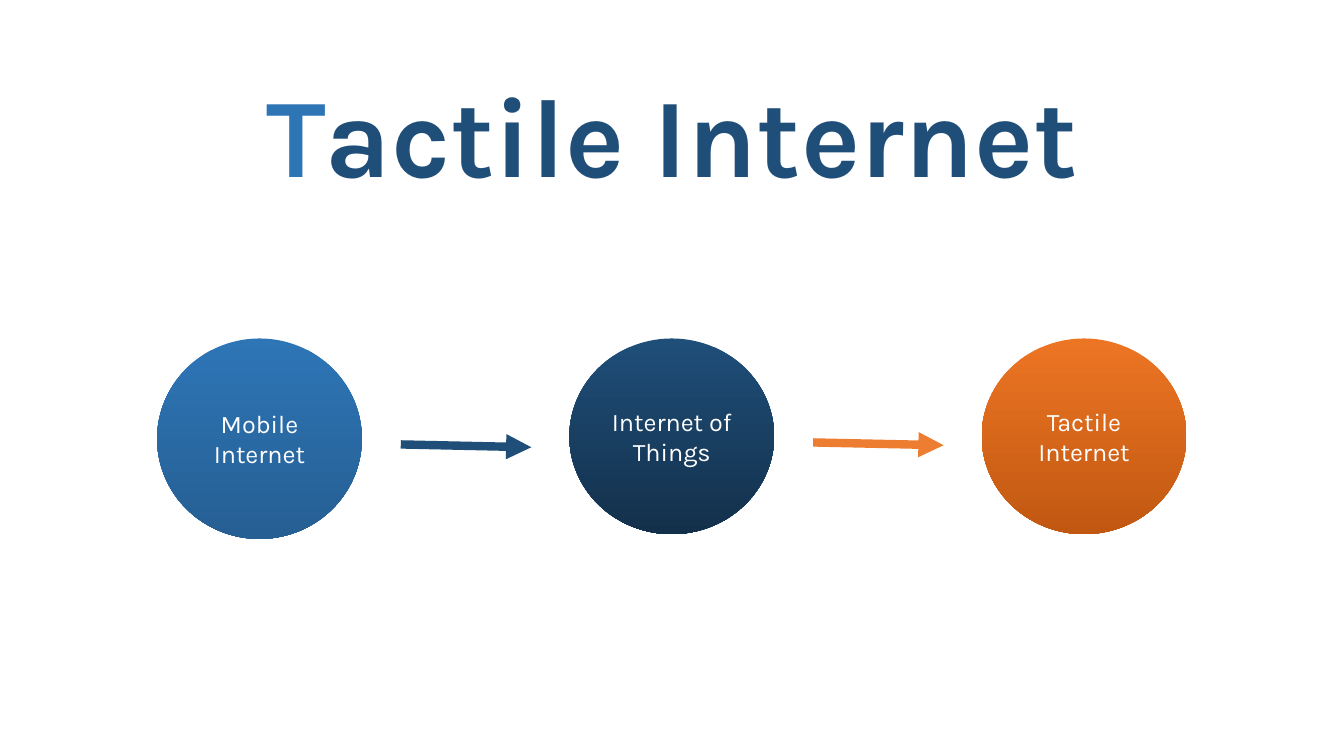
from lxml import etree
from pptx import Presentation
from pptx.dml.color import RGBColor
from pptx.enum.shapes import MSO_CONNECTOR, MSO_SHAPE
from pptx.enum.text import MSO_ANCHOR, MSO_AUTO_SIZE, PP_ALIGN
from pptx.oxml.ns import qn
from pptx.util import Cm, Pt

COLORS = {
    "white": "FFFFFF",
    "blue": "2E75B6",
    "blue_deep": "255F93",
    "navy": "1F4E79",
    "navy_deep": "13304B",
    "orange": "EC7524",
    "orange_deep": "C15811",
    "orange_arrow": "ED7D31",
}
STAGES = [
    ("Mobile Internet", "blue", 5.05),
    ("Internet of Things", "navy", 4.93),
    ("Tactile Internet", "orange", 4.93),
]
ARROWS = [("navy", 2.67), ("orange_arrow", 2.62)]


def color(name):
    return RGBColor.from_string(COLORS[name])


def add_text(para, text, *, size, tint, bold=False, font="Karla"):
    para.alignment = PP_ALIGN.CENTER
    span = para.add_run()
    span.text = text
    span.font.name = font
    span.font.size = Pt(size)
    span.font.bold = bold
    span.font.color.rgb = color(tint)


def add_title(page, left, top, width, height):
    box = page.shapes.add_textbox(Cm(left), Cm(top), Cm(width), Cm(height))
    frame = box.text_frame
    frame.word_wrap = True
    frame.auto_size = MSO_AUTO_SIZE.SHAPE_TO_FIT_TEXT
    para = frame.paragraphs[0]
    add_text(para, "T", size=80, tint="blue", bold=True)
    add_text(para, "actile Internet", size=80, tint="navy", bold=True)


def add_stage(page, left, top, width, height, label, tint):
    circle = page.shapes.add_shape(
        MSO_SHAPE.OVAL, Cm(left), Cm(top), Cm(width), Cm(height))
    circle.shadow.inherit = False
    circle.line.fill.background()
    circle.fill.gradient()
    circle.fill.gradient_angle = 270
    for stop, position, name in zip(
            circle.fill.gradient_stops, (0, 1), (tint, f"{tint}_deep")):
        stop.position = position
        stop.color.rgb = color(name)
    frame = circle.text_frame
    frame.word_wrap = True
    frame.vertical_anchor = MSO_ANCHOR.MIDDLE
    add_text(frame.paragraphs[0], label, size=18, tint="white")


def add_arrow(page, left, top, width, drop, tint):
    arrow = page.shapes.add_connector(
        MSO_CONNECTOR.STRAIGHT,
        Cm(left), Cm(top), Cm(left + width), Cm(top + drop))
    arrow.line.width = Pt(6)
    arrow.line.color.rgb = color(tint)
    line = arrow.line._get_or_add_ln()
    etree.SubElement(line, qn("a:tailEnd"), type="triangle")
    etree.SubElement(arrow._element.spPr, qn("a:effectLst"))


def add_evolution(page, left, top, width):
    diameter = 5.16
    pitch = (width - diameter) / (len(STAGES) - 1)
    for index, (label, tint, height) in enumerate(STAGES):
        add_stage(page, left + index * pitch, top, diameter, height, label, tint)
    for index, (tint, offset) in enumerate(ARROWS):
        start = left + index * pitch + diameter + 0.98
        add_arrow(page, start, top + offset, 3.29, 0.07, tint)


def main():
    deck = Presentation()
    deck.slide_width = Cm(33.87)
    deck.slide_height = Cm(19.05)
    page = deck.slides.add_slide(deck.slide_layouts[6])
    add_evolution(page, left=3.96, top=8.53, width=25.94)
    add_title(page, left=5.77, top=1.52, width=22.35, height=3.68)
    deck.save("out.pptx")


if __name__ == "__main__":
    main()
